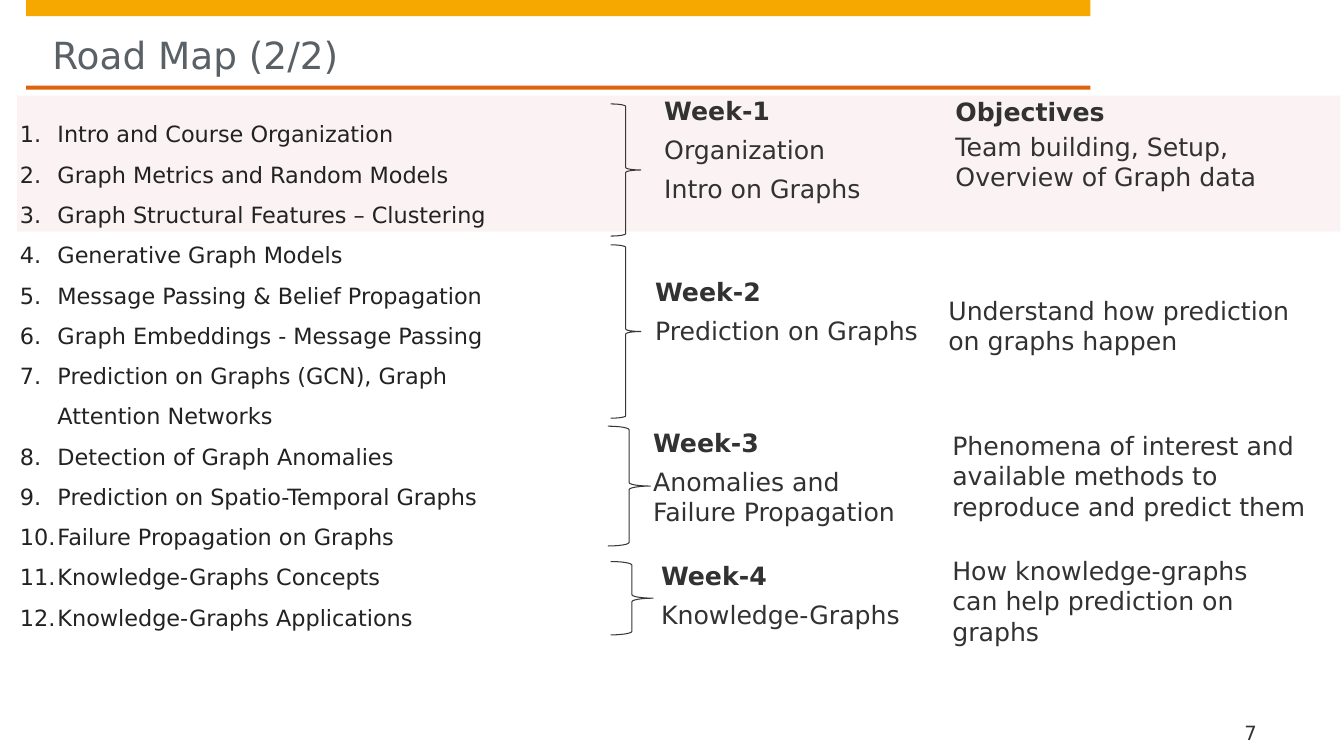
from lxml import etree
from pptx import Presentation
from pptx.dml.color import RGBColor
from pptx.enum.shapes import MSO_SHAPE
from pptx.enum.text import MSO_ANCHOR
from pptx.oxml.ns import qn
from pptx.util import Cm, Pt

RECTANGLE, BRACE = MSO_SHAPE.RECTANGLE, MSO_SHAPE.RIGHT_BRACE
TOP, BOTTOM = MSO_ANCHOR.TOP, MSO_ANCHOR.BOTTOM

COLORS = {
    "bar": "F6A800", "rule": "DD640C", "highlight": "B1063A", "title": "5A6166",
    "topic": "222222", "body": "323232", "brace": "373737",
}
PADDED = (0.25, 0.13, 0.25, 0.13)

TOPICS = [
    "Intro and Course Organization",
    "Graph Metrics and Random Models",
    "Graph Structural Features – Clustering",
    "Generative Graph Models",
    "Message Passing & Belief Propagation",
    "Graph Embeddings - Message Passing",
    "Prediction on Graphs (GCN), Graph Attention Networks",
    "Detection of Graph Anomalies",
    "Prediction on Spatio-Temporal Graphs",
    "Failure Propagation on Graphs",
    "Knowledge-Graphs Concepts",
    "Knowledge-Graphs Applications",
]

# Per week: brace box, themes with their box, objective with its box and insets
WEEKS = [
    ((15.39, 2.62, 0.76, 3.33),
     ["Organization", "Intro on Graphs"], (16.74, 2.41, 6.63, 2.79),
     "Team building, Setup, Overview of Graph data", (23.83, 3.18, 9.6, 1.8), PADDED),
    ((15.39, 6.17, 0.76, 4.37),
     ["Prediction on Graphs"], (16.51, 6.96, 6.75, 2.79),
     "Understand how prediction on graphs happen", (23.9, 7.44, 8.74, 3.15), (0, 0, 0, 0)),
    ((15.32, 10.74, 1.07, 3.02),
     ["Anomalies and Failure Propagation"], (16.46, 10.77, 6.32, 2.72),
     "Phenomena of interest and available methods to reproduce and predict them",
     (24, 10.85, 9.42, 2.72), (0, 0, 0, 0)),
    ((15.39, 14.15, 1.07, 1.85),
     ["Knowledge-Graphs"], (16.66, 14.12, 6.32, 2.64),
     "How knowledge-graphs can help prediction on graphs", (24, 14, 7.82, 3.15),
     (0, 0, 0, 0)),
]


def color(name):
    return RGBColor.from_string(COLORS[name])


def number_paragraph(paragraph, indent):
    """Give the paragraph an automatic number with a hanging indent."""
    properties = paragraph._p.get_or_add_pPr()
    properties.set("marL", str(Cm(indent)))
    properties.set("indent", str(-Cm(indent)))
    etree.SubElement(properties, qn("a:buFont"), typeface="+mj-lt")
    etree.SubElement(properties, qn("a:buAutoNum"), type="arabicPeriod")


class RoadMapSlide:
    font = "DejaVu Sans"

    def __init__(self, slide):
        self.slide = slide

    def shape(self, kind, box):
        shape = self.slide.shapes.add_shape(kind, *map(Cm, box))
        shape.shadow.inherit = False
        return shape

    def block(self, box, fill, opacity=100):
        block = self.shape(RECTANGLE, box)
        block.line.fill.background()
        block.fill.solid()
        block.fill.fore_color.rgb = color(fill)
        if opacity < 100:
            tint = block.fill._xPr.find(qn("a:solidFill"))[0]
            etree.SubElement(tint, qn("a:alpha"), val=str(opacity * 1000))

    def brace(self, box):
        brace = self.shape(BRACE, box)
        brace.fill.background()
        brace.line.color.rgb = color("brace")
        brace.line.width = Pt(0.75)

    def text(self, box, lines, size=18, tone="body", bold_first=False, gap=3,
             line_spacing=None, insets=(0, 0, 0, 0), anchor=TOP, number_indent=None):
        """Add a text box with one paragraph for each line."""
        frame = self.slide.shapes.add_textbox(*map(Cm, box)).text_frame
        frame.word_wrap = True
        frame.vertical_anchor = anchor
        (frame.margin_left, frame.margin_top,
         frame.margin_right, frame.margin_bottom) = map(Cm, insets)
        for index, line in enumerate(lines):
            paragraph = frame.paragraphs[0] if index == 0 else frame.add_paragraph()
            paragraph.space_before = paragraph.space_after = Pt(gap)
            if line_spacing:
                paragraph.line_spacing = line_spacing
            if number_indent:
                number_paragraph(paragraph, number_indent)
            run = paragraph.add_run()
            run.text = line
            run.font.name = self.font
            run.font.size = Pt(size)
            run.font.bold = bold_first and index == 0
            run.font.color.rgb = color(tone)


def main():
    presentation = Presentation()
    presentation.slide_width, presentation.slide_height = Cm(33.87), Cm(19.05)
    road_map = RoadMapSlide(presentation.slides.add_slide(presentation.slide_layouts[6]))

    road_map.block((0.66, 0, 26.82, 0.41), "bar")
    road_map.block((0.66, 2.16, 26.82, 0.1), "rule")
    road_map.block((0.43, 2.41, 33.35, 3.43), "highlight", opacity=5)
    road_map.text((1.32, 0.41, 25.48, 1.55), ["Road Map (2/2)"], size=26.7,
                  tone="title", gap=0, insets=(0, 0.41, 0, 0))
    road_map.text((31.06, 18.01, 2.13, 0.74), ["7"], size=14, gap=0,
                  insets=(0.3, 0, 0, 0), anchor=BOTTOM)
    road_map.text((0.25, 2.57, 13.13, 13.46), TOPICS, size=16, tone="topic", gap=0,
                  line_spacing=1.5, insets=PADDED, number_indent=0.95)
    road_map.text((23.83, 2.29, 7.57, 1.02), ["Objectives"], bold_first=True,
                  insets=PADDED)

    for week, (brace_box, themes, themes_box, objective, objective_box,
               insets) in enumerate(WEEKS, start=1):
        road_map.brace(brace_box)
        road_map.text(themes_box, [f"Week-{week}", *themes], bold_first=True)
        road_map.text(objective_box, [objective], insets=insets)

    presentation.save("out.pptx")


if __name__ == "__main__":
    main()
